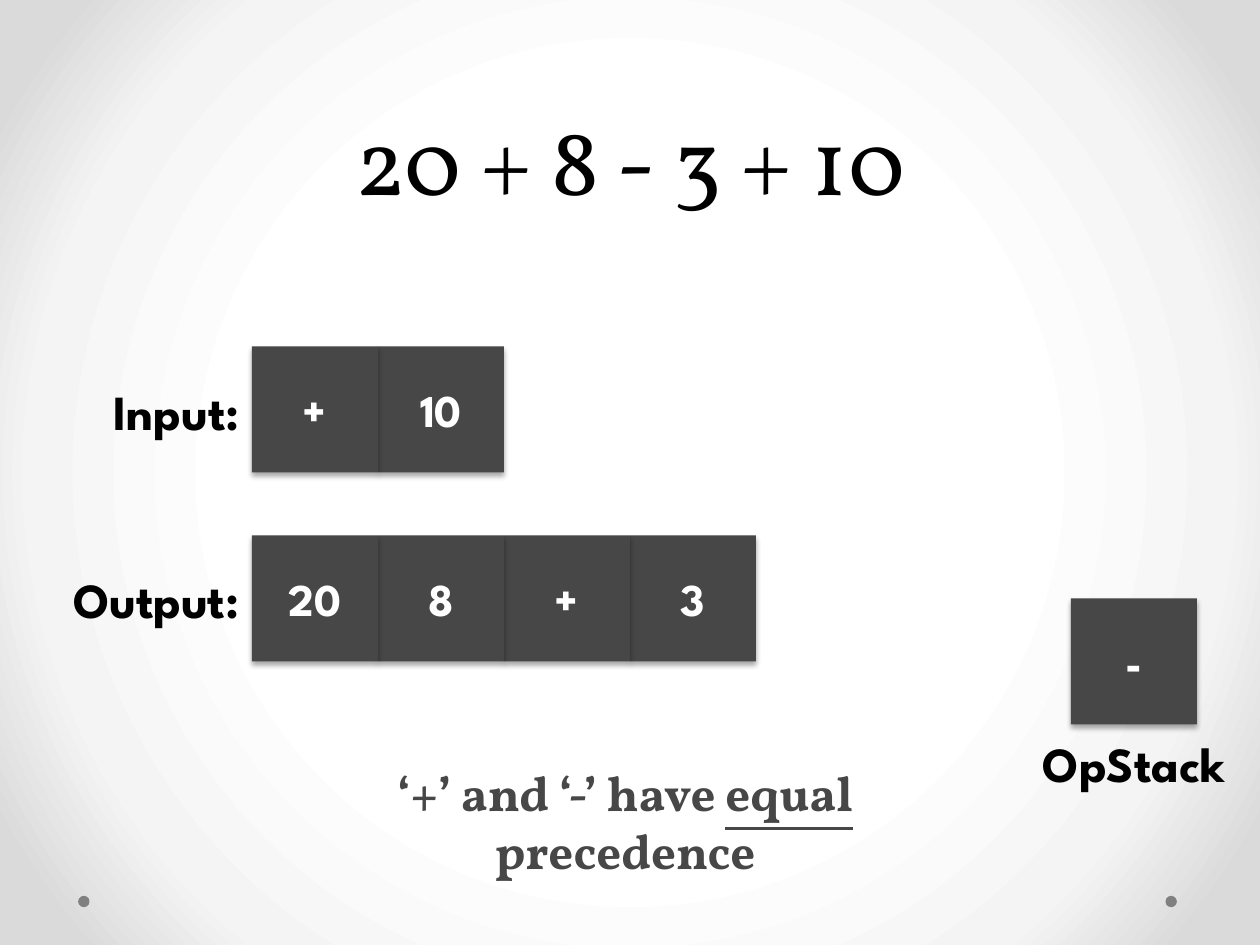
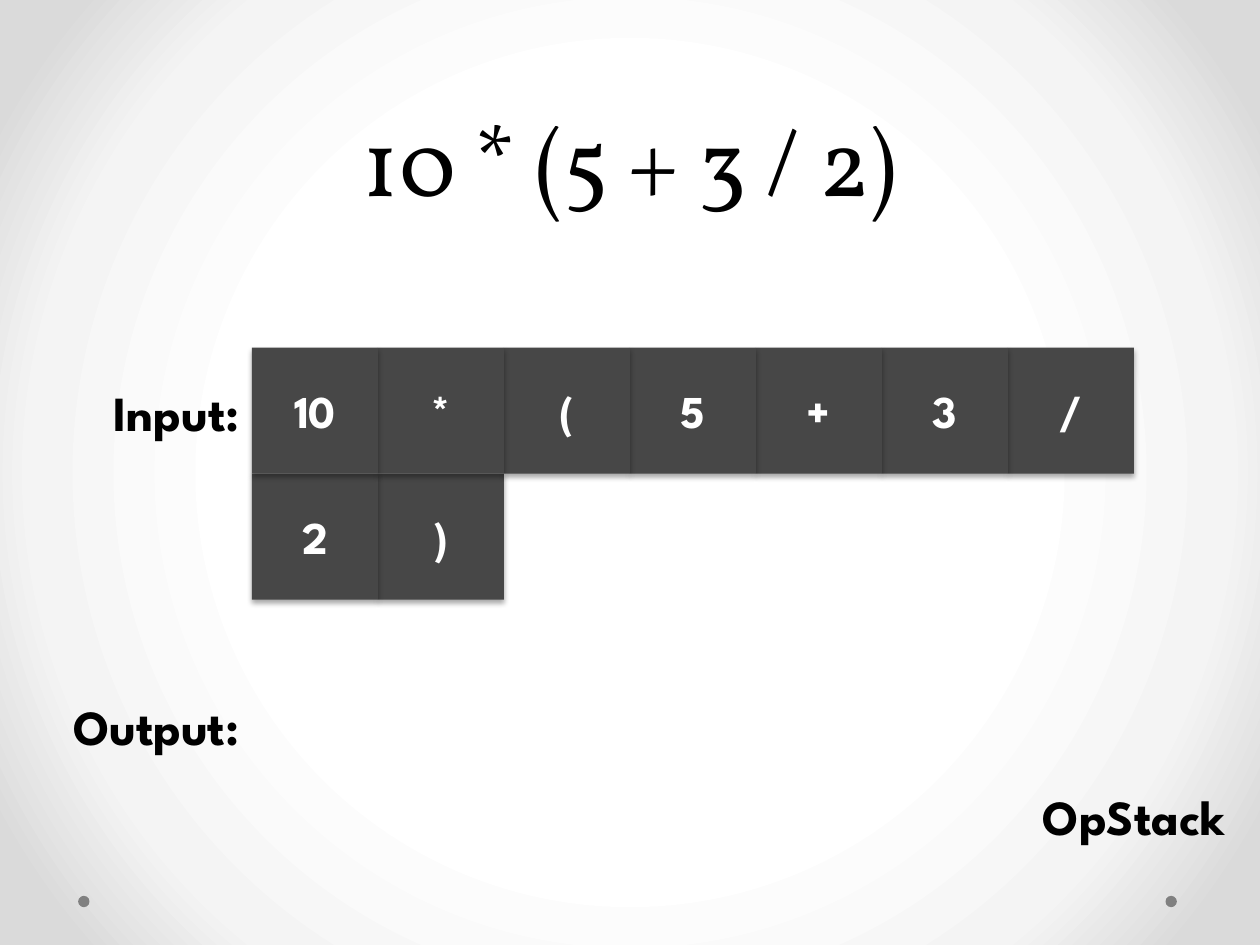
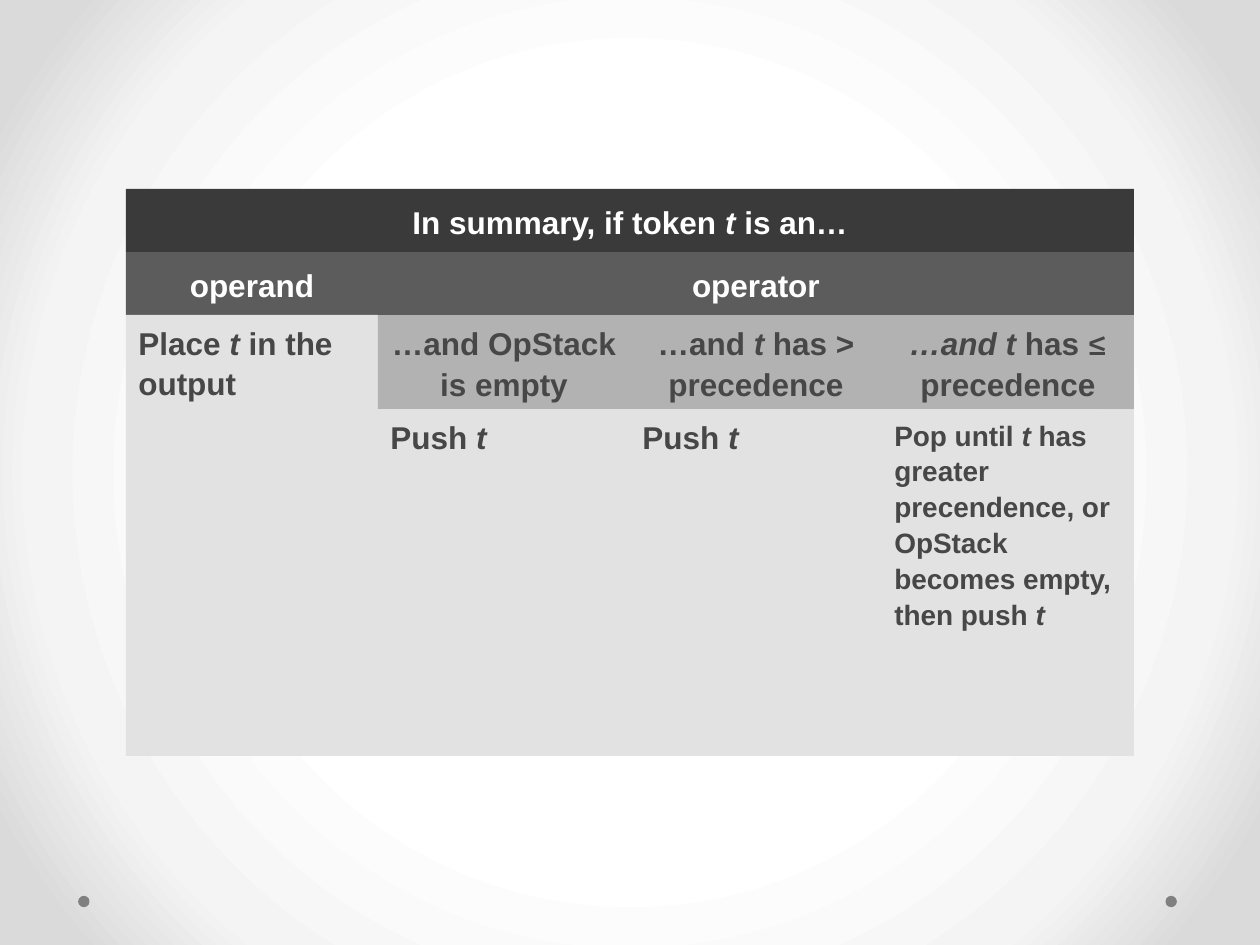
"""Build three slides that explain infix parsing with an operator stack."""

from pptx import Presentation
from pptx.dml.color import RGBColor
from pptx.enum.shapes import MSO_SHAPE as Preset
from pptx.enum.text import MSO_ANCHOR as Anchor, PP_ALIGN as Align
from pptx.oxml import parse_xml
from pptx.oxml.ns import nsdecls, qn
from pptx.util import Inches, Pt

WHITE = RGBColor(0xFF, 0xFF, 0xFF)
BLACK = RGBColor(0, 0, 0)
CHARCOAL = RGBColor(0x47, 0x47, 0x47)
DOT_GRAY = RGBColor(0x80, 0x80, 0x80)
BANNER = RGBColor(0x3A, 0x3A, 0x3A)
KIND = RGBColor(0x5C, 0x5C, 0x5C)
CONDITION = RGBColor(0xB2, 0xB2, 0xB2)
ACTION = RGBColor(0xE2, 0xE2, 0xE2)

TITLE = {"name": "Vollkorn", "size": Pt(54), "color": BLACK}
LABEL = {"name": "League Spartan", "size": Pt(28), "bold": True, "color": BLACK}
TOKEN = {"name": "League Spartan", "size": Pt(26), "bold": True, "color": WHITE}
REMARK = {"name": "Vollkorn", "size": Pt(28), "bold": True, "color": CHARCOAL}
CELL = {"name": "Arial", "size": Pt(18), "bold": True, "color": CHARCOAL}
HEADING = CELL | {"color": WHITE}
SMALL = CELL | {"size": Pt(16)}
ITALIC = {"italic": True}

BACKGROUND = f"""<a:gradFill {nsdecls("a")} rotWithShape="1"><a:gsLst>
<a:gs pos="50000"><a:srgbClr val="FFFFFF"/></a:gs>
<a:gs pos="76000"><a:srgbClr val="F4F4F4"/></a:gs>
<a:gs pos="92000"><a:srgbClr val="DADADA"/></a:gs></a:gsLst>
<a:path path="circle"><a:fillToRect l="50000" t="50000" r="50000" b="50000"/></a:path>
</a:gradFill>"""
SHADOW = f"""<a:effectLst {nsdecls("a")}>
<a:outerShdw blurRad="40000" dist="23000" dir="5400000" rotWithShape="0">
<a:srgbClr val="000000"><a:alpha val="35000"/></a:srgbClr></a:outerShdw></a:effectLst>"""


def write(frame, runs, style, align=Align.CENTER, anchor=Anchor.MIDDLE):
    """Fill a text frame with one paragraph of (text, changes) runs."""
    frame.word_wrap = True
    frame.vertical_anchor = anchor
    paragraph = frame.paragraphs[0]
    paragraph.alignment = align
    for text, changes in runs:
        run = paragraph.add_run()
        run.text = text
        for name, value in (style | changes).items():
            if name == "color":
                run.font.color.rgb = value
            else:
                setattr(run.font, name, value)
    return paragraph


def add_solid(shapes, preset, left, top, width, height, color):
    """Add a filled preset shape without outline or shadow."""
    shape = shapes.add_shape(preset, Inches(left), Inches(top), Inches(width), Inches(height))
    shape.fill.solid()
    shape.fill.fore_color.rgb = color
    shape.line.fill.background()
    shape.shadow.inherit = False
    return shape


presentation = Presentation()
presentation.slide_width = Inches(10)
presentation.slide_height = Inches(7.5)

master = presentation.slide_master
master.background.fill.solid()
background = master.element.find(".//" + qn("p:bgPr"))
background.replace(background[0], parse_xml(BACKGROUND))

slides = [presentation.slides.add_slide(presentation.slide_layouts[6]) for _ in range(3)]
for slide in slides:
    for left in (9.25, 0.62):
        add_solid(slide.shapes, Preset.OVAL, left, 7.11, 0.09, 0.09, DOT_GRAY)

traces = [
    {"title": "20 + 8 - 3 + 10", "title_top": 0,
     "input_top": 2.76, "output_top": 4.25, "stack_label_top": 5.77,
     "rows": [(2, 2.75, ["+", "10"]), (2, 4.25, ["20", "8", "+", "3"]), (8.5, 4.75, ["-"])]},
    {"title": "10 * (5 + 3 / 2)", "title_top": 0.01,
     "input_top": 2.77, "output_top": 5.26, "stack_label_top": 6.19,
     "rows": [(2, 2.76, ["10", "*", "(", "5", "+", "3", "/"]), (2, 3.76, ["2", ")"])]},
]
for slide, trace in zip(slides, traces):
    for row_left, top, tokens in reversed(trace["rows"]):
        for column, token in reversed(list(enumerate(tokens))):
            tile = add_solid(
                slide.shapes, Preset.RECTANGLE, row_left + column, top, 1, 1, CHARCOAL)
            properties = tile.element.spPr
            properties.replace(properties.find(qn("a:effectLst")), parse_xml(SHADOW))
            write(tile.text_frame, [(token, {})], TOKEN)

    texts = [
        (trace["title"], 0.5, trace["title_top"], 9, 1.75, TITLE, Align.CENTER, Anchor.BOTTOM),
        ("Input:", 0, trace["input_top"], 2, 1, LABEL, Align.RIGHT, Anchor.MIDDLE),
        ("Output:", 0, trace["output_top"], 2, 1, LABEL, Align.RIGHT, Anchor.MIDDLE),
        ("OpStack", 8, trace["stack_label_top"], 2, 0.57, LABEL, Align.CENTER, Anchor.TOP),
    ]
    for text, left, top, width, height, style, align, anchor in texts:
        box = slide.shapes.add_textbox(Inches(left), Inches(top), Inches(width), Inches(height))
        paragraph = write(box.text_frame, [(text, {})], style, align, anchor)
        if style is TITLE:
            paragraph.line_spacing = Pt(58)

remark = slides[0].shapes.add_textbox(Inches(2.17), Inches(6), Inches(5.58), Inches(1.04))
remark_runs = [("‘+’ and ‘-’ have ", {}), ("equal", {"underline": True}), (" precedence", {})]
write(remark.text_frame, remark_runs, REMARK, anchor=Anchor.TOP)

token_run = ("t", ITALIC)
push = [("Push ", {}), token_run]
summary = [
    (1, 2, 2, 0.5, KIND, HEADING, [("operand", {})]),
    (3, 2, 6, 0.5, KIND, HEADING, [("operator", {})]),
    (1, 2.5, 2, 3.5, ACTION, CELL, [("Place ", {}), token_run, (" in the output", {})]),
    (3, 2.5, 2, 0.75, CONDITION, CELL, [("…and OpStack is empty", {})]),
    (5, 2.5, 2, 0.75, CONDITION, CELL, [("…and ", {}), token_run, (" has > precedence", {})]),
    (7, 2.5, 2, 0.75, CONDITION, CELL, [("…and t", ITALIC), (" has ", {}),
                                        ("≤", {"name": "Cambria"}), (" precedence", {})]),
    (3, 3.25, 2, 2.75, ACTION, CELL, push),
    (5, 3.25, 2, 2.75, ACTION, CELL, push),
    (7, 3.25, 2, 2.75, ACTION, SMALL, [
        ("Pop until ", {}), token_run,
        (" has greater precendence, or OpStack becomes empty, then push ", {}), token_run]),
    (1, 1.5, 8, 0.5, BANNER, HEADING, [
        ("In summary, if token ", {}), token_run, (" is an…", {})]),
]
group = slides[2].shapes.add_group_shape()
for left, top, width, height, color, style, runs in summary:
    block = add_solid(group.shapes, Preset.RECTANGLE, left, top, width, height, color)
    align, anchor = (Align.LEFT, Anchor.TOP) if color == ACTION else (Align.CENTER, Anchor.MIDDLE)
    paragraph = write(block.text_frame, runs, style, align, anchor)
    paragraph.line_spacing = 1.07

presentation.save("out.pptx")
